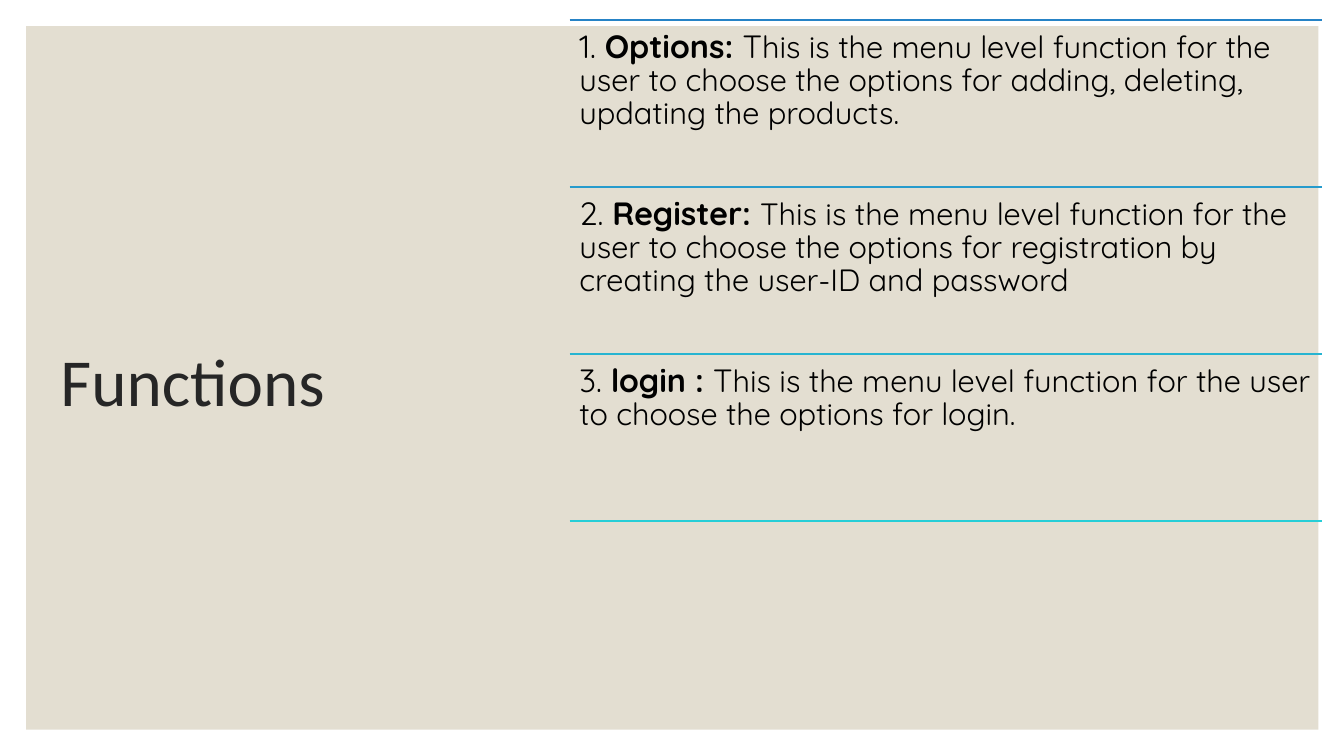
from dataclasses import dataclass

from lxml.etree import SubElement
from pptx import Presentation
from pptx.dml.color import RGBColor
from pptx.enum.shapes import MSO_CONNECTOR as Connector, MSO_SHAPE as Preset
from pptx.enum.text import MSO_ANCHOR as Anchor, MSO_AUTO_SIZE as AutoSize, PP_ALIGN as Align
from pptx.oxml.ns import qn
from pptx.slide import Slide
from pptx.text.text import TextFrame, _Paragraph as Paragraph
from pptx.util import Pt

COLOURS = {
    "panel": "E3DED1",
    "title": "262626",
    "text": "000000",
    "rule 1": "2683C6",
    "rule 2": "269BCC",
    "rule 3": "27B4D1",
    "rule 4": "27CED7",
}
LIST_LEFT, LIST_TOP, LIST_WIDTH, ROW_HEIGHT = 406.8, 14.4, 537.84, 119.28
LARGE, SMALL = 23, 22


@dataclass(frozen=True)
class MenuFunction:
    name: str
    opening: str  # start of the description set at the larger size
    description: str


FUNCTIONS = [
    MenuFunction("Options: ", "T", "his is the menu level function for the user to choose "
                 "the options for adding, deleting, updating the products."),
    MenuFunction("Register: ", "", "This is the menu level function for the user to choose "
                 "the options for registration by creating the user-ID and password"),
    MenuFunction("login : ", "T", "his is the menu level function for the user to choose "
                 "the options for login."),
]


def colour(name: str) -> RGBColor:
    return RGBColor.from_string(COLOURS[name])


def add_text(paragraph: Paragraph, text: str, *, size: float, font: str = "Quicksand",
             fill: str = "text", bold: bool = False) -> None:
    run = paragraph.add_run()
    run.text = text
    run.font.name = font
    run.font.size = Pt(size)
    run.font.bold = bold
    run.font.color.rgb = colour(fill)


def first_paragraph(frame: TextFrame, anchor: Anchor) -> Paragraph:
    """Prepare a wrapping, fixed-size frame and return its left-aligned paragraph."""
    frame.word_wrap = True
    frame.auto_size = AutoSize.NONE
    frame.vertical_anchor = anchor
    paragraph = frame.paragraphs[0]
    paragraph.alignment = Align.LEFT
    paragraph.line_spacing = 0.9
    return paragraph


def add_panel_and_title(slide: Slide) -> None:
    title = slide.shapes.title
    title.left, title.top, title.width, title.height = Pt(36), Pt(56.88), Pt(293.76), Pt(435.6)
    add_text(first_paragraph(title.text_frame, Anchor.MIDDLE), "Functions",
             size=48, font="Calibri", fill="title")

    panel = slide.shapes.add_shape(Preset.RECTANGLE, Pt(18.72), Pt(18.72), Pt(923.04), Pt(502.56))
    panel.shadow.inherit = False
    panel.fill.solid()
    panel.fill.fore_color.rgb = colour("panel")
    panel.line.fill.background()
    title.element.addprevious(panel.element)


def add_rule(slide: Slide, number: int) -> None:
    y = Pt(LIST_TOP + (number - 1) * ROW_HEIGHT)
    rule = slide.shapes.add_connector(Connector.STRAIGHT, Pt(LIST_LEFT), y,
                                      Pt(LIST_LEFT + LIST_WIDTH), y)
    rule.line.color.rgb = colour(f"rule {number}")
    rule.line.width = Pt(1)
    SubElement(rule.element.spPr, qn("a:effectLst"))


def add_function(slide: Slide, number: int, function: MenuFunction) -> None:
    top = LIST_TOP + (number - 1) * ROW_HEIGHT
    entry = slide.shapes.add_textbox(Pt(LIST_LEFT), Pt(top), Pt(LIST_WIDTH), Pt(ROW_HEIGHT))
    frame = entry.text_frame
    frame.margin_left = frame.margin_top = frame.margin_right = frame.margin_bottom = Pt(7.2)
    paragraph = first_paragraph(frame, Anchor.TOP)
    add_text(paragraph, f"{number}. ", size=LARGE)
    add_text(paragraph, function.name, size=LARGE, bold=True)
    if function.opening:
        add_text(paragraph, function.opening, size=LARGE)
    add_text(paragraph, function.description, size=SMALL)


def main() -> None:
    deck = Presentation()
    deck.slide_width, deck.slide_height = Pt(960), Pt(540)
    slide = deck.slides.add_slide(deck.slide_layouts.get_by_name("Title Only"))
    add_panel_and_title(slide)
    for number, function in enumerate(FUNCTIONS, start=1):
        add_rule(slide, number)
        add_function(slide, number, function)
    add_rule(slide, len(FUNCTIONS) + 1)
    deck.save("out.pptx")


if __name__ == "__main__":
    main()
